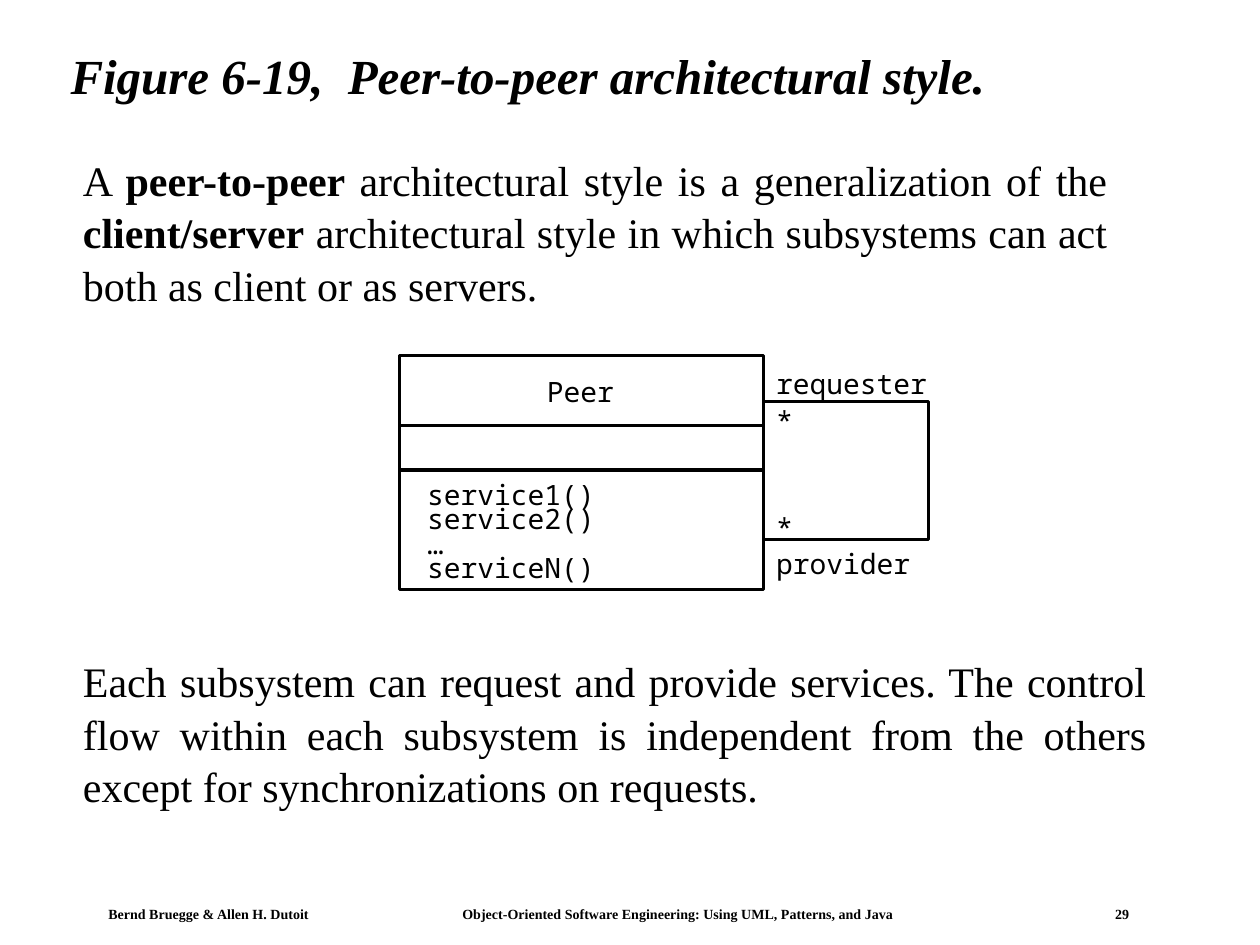
from lxml import etree
from pptx import Presentation
from pptx import util as u
from pptx.dml import color
from pptx.enum import shapes, text
from pptx.oxml import ns

COLORS = {"ink": "000000", "paper": "FFFFFF"}
SERIF, MONO = "Times New Roman", "Noto Sans Mono"
COLUMNS, ROWS = 100, 75  # the slide grid


class SlideBuilder:
    """Holds the style and the current slide; lengths are grid columns and rows."""

    def __init__(self, presentation):
        self.cell_width = presentation.slide_width / COLUMNS
        self.cell_height = presentation.slide_height / ROWS
        self.slide = presentation.slides.add_slide(presentation.slide_layouts[5])
        self.slide.background.fill.solid()
        self.slide.background.fill.fore_color.rgb = self.color("paper")

    def color(self, name):
        return color.RGBColor.from_string(COLORS[name])

    def area(self, left, top, width, height):
        return (u.Emu(round(left * self.cell_width)), u.Emu(round(top * self.cell_height)),
                u.Emu(round(width * self.cell_width)), u.Emu(round(height * self.cell_height)))

    def add_run(self, paragraph, words, size, font=SERIF, bold=False, italic=False):
        run = paragraph.add_run()
        run.text = words
        run.font.name, run.font.size = font, u.Pt(size)
        run.font.bold, run.font.italic = bold, italic
        run.font.color.rgb = self.color("ink")

    def title(self, words, area):
        shape = self.slide.shapes.title
        shape.left, shape.top, shape.width, shape.height = self.area(*area)
        shape.text_frame.vertical_anchor = text.MSO_ANCHOR.MIDDLE
        paragraph = shape.text_frame.paragraphs[0]
        paragraph.alignment = text.PP_ALIGN.LEFT
        paragraph.line_spacing = 0.9
        self.add_run(paragraph, words, 28, bold=True, italic=True)

    def text_box(self, area, wrap=True, insets=(0.1, 0.05)):
        frame = self.slide.shapes.add_textbox(*self.area(*area)).text_frame
        frame.word_wrap = wrap
        frame.margin_left = frame.margin_right = u.Inches(insets[0])
        frame.margin_top = frame.margin_bottom = u.Inches(insets[1])
        return frame.paragraphs[0]

    def prose(self, area, *runs):
        paragraph = self.text_box(area)
        paragraph.alignment = text.PP_ALIGN.JUSTIFY
        paragraph.line_spacing = 1.04
        for words, bold in runs:
            self.add_run(paragraph, words, 24, bold=bold)

    def label(self, words, left, top):
        area = (left, top, 1.34 * len(words), 2.7)
        self.add_run(self.text_box(area, wrap=False, insets=(0, 0)), words, 16, MONO)

    def box(self, *area):
        shape = self.slide.shapes.add_shape(shapes.MSO_SHAPE.RECTANGLE, *self.area(*area))
        shape.shadow.inherit = False
        shape.fill.background()
        shape.line.color.rgb = self.color("ink")
        shape.line.width = u.Pt(1.75)

    def footer(self, area, parts, tab_stops):
        paragraph = self.text_box(area, insets=(0.08, 0.04))
        properties = paragraph._p.get_or_add_pPr()
        tabs = etree.SubElement(properties, ns.qn("a:tabLst"))
        for stop in tab_stops:
            etree.SubElement(tabs, ns.qn("a:tab"), pos=str(u.Inches(stop)), algn="l")
        self.add_run(paragraph, "\t".join(parts), 8, bold=True)


def main():
    presentation = Presentation()
    presentation.slide_width, presentation.slide_height = u.Inches(10), u.Inches(7.5)
    builder = SlideBuilder(presentation)

    # Footer
    builder.footer((7.8, 71.5, 82.7, 2.1),
                   ["Bernd Bruegge & Allen H. Dutoit",
                    "Object-Oriented Software Engineering: Using UML, Patterns, and Java",
                    "29"],
                   tab_stops=(2.81, 7.99))

    # Peer class: name, attributes and operations compartments
    class_left, class_width, top = 31.7, 28.9, 28.2
    for height in (5.6, 3.5, 9.5):
        builder.box(class_left, top, class_width, height)
        top += height
    builder.label("Peer", 43.4, 29.7)
    for index, operation in enumerate(("service1()", "service2()", "…", "serviceN()")):
        builder.label(operation, 33.9, 37.9 + 1.94 * index)

    # Association of the class with itself
    builder.box(class_left + class_width, 31.9, 13.1, 10.9)
    for words, top in (("requester", 29.1), ("*", 32), ("*", 40.5), ("provider", 43.4)):
        builder.label(words, 61.6, top)

    # Title and explanations
    builder.title("Figure 6-19,  Peer-to-peer architectural style.", (4.6, 2.4, 89.2, 7.7))
    builder.prose((5.6, 11.6, 83.3, 13.1),
                  ("A ", False), ("peer-to-peer ", True),
                  ("architectural style is a generalization of the", False),
                  (" client/server", True),
                  (" architectural style in which subsystems can act both as client "
                   "or as servers.", False))
    builder.prose((5.6, 51.4, 86.4, 17.2),
                  ("Each subsystem can request and provide services. The control flow within "
                   "each subsystem is independent from the others except for synchronizations "
                   "on requests.", False))

    presentation.save("out.pptx")


if __name__ == "__main__":
    main()
